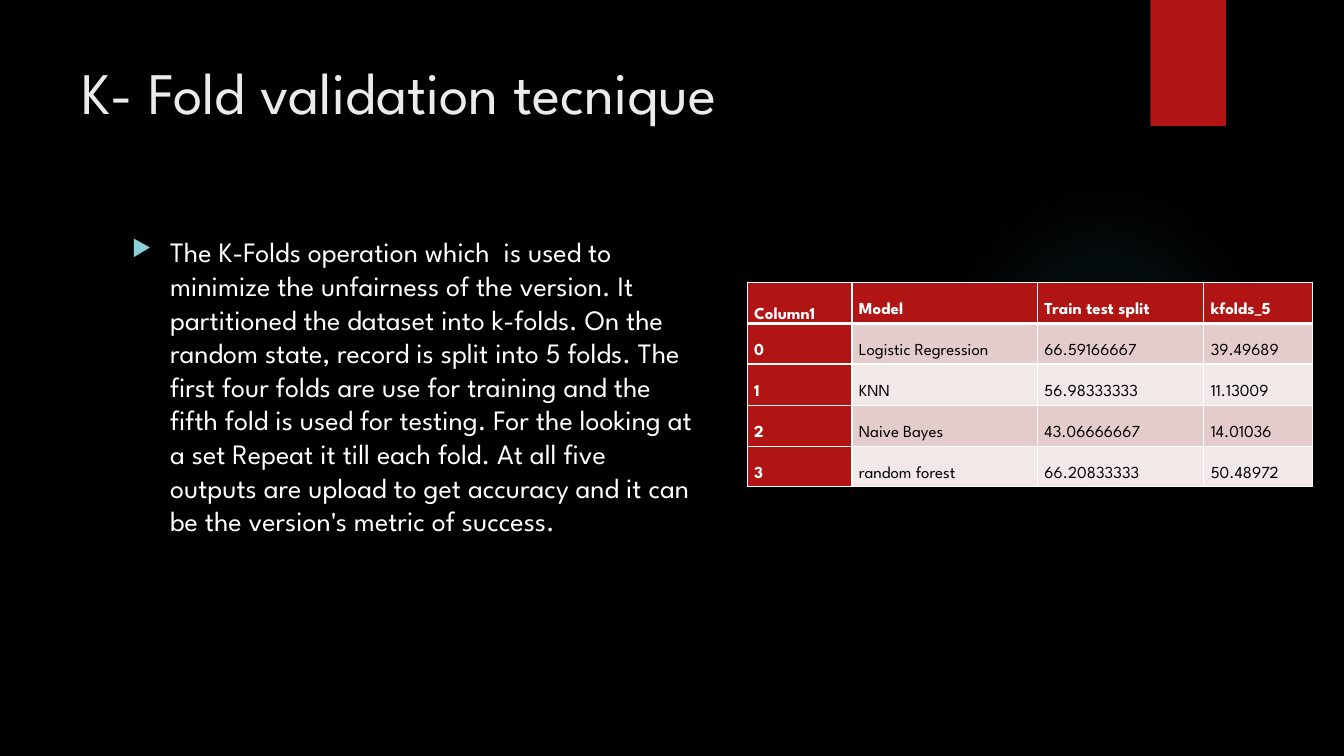
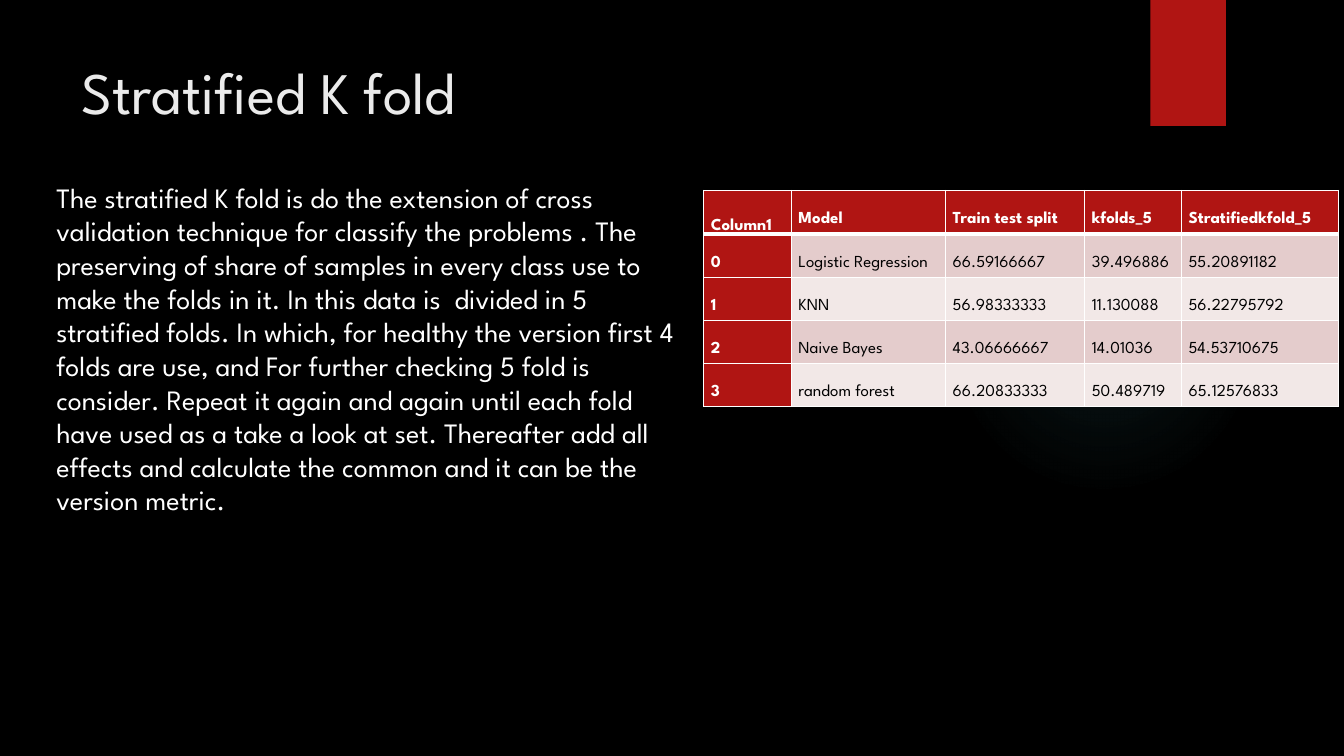
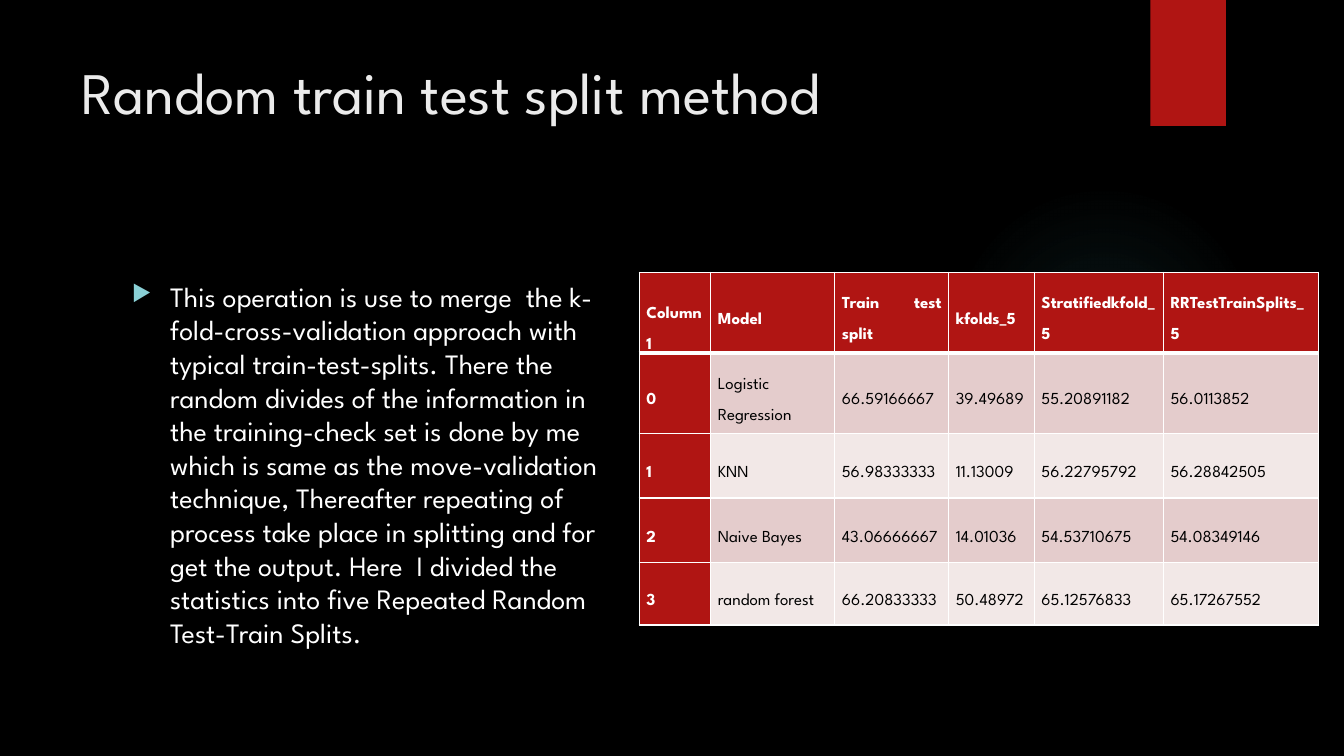
from pptx import Presentation
from pptx.dml.color import RGBColor
from pptx.enum import shapes, text
from pptx.oxml import parse_xml
from pptx.oxml.ns import nsdecls
from pptx.util import Inches, Pt

FONT = "League Spartan"
RED, WHITE, BLACK, TITLE = "B01513", "FFFFFF", "000000", "EBEBEB"
GLOW, BULLET = "50B9C1", "8AD0D6"
BANDS = ["E4CCCC", "F2E8E7"]
COLUMN1 = ["Column1", "0", "1", "2", "3"]
MODEL = ["Model", "Logistic Regression", "KNN", "Naive Bayes", "random forest"]
SPLIT = ["Train test split", "66.59166667", "56.98333333", "43.06666667", "66.20833333"]
KFOLDS = ["kfolds_5", "39.49689", "11.13009", "14.01036", "50.48972"]
KFOLDS_LONG = ["kfolds_5", "39.496886", "11.130088", "14.01036", "50.489719"]
STRATIFIED = ["Stratifiedkfold_5", "55.20891182", "56.22795792", "54.53710675", "65.12576833"]
REPEATED = ["RRTestTrainSplits_5", "56.0113852", "56.28842505", "54.08349146", "65.17267552"]

PAGES = [
    dict(
        title="K- Fold validation tecnique",
        body="The K-Folds operation which  is used to minimize the unfairness of the version. "
             "It partitioned the dataset into k-folds. On the random state, record is split into "
             "5 folds. The first four folds are use for training and the fifth fold is used for "
             "testing. For the looking at a set Repeat it till each fold. At all five outputs are "
             "upload to get accuracy and it can be the version's metric of success.",
        body_at=(1.21, 1.81, 5.8, 5.02), bullet=True,
        table_at=(7.41, 2.8, 5.6, 2.03),
        columns=[COLUMN1, MODEL, SPLIT, KFOLDS],
        widths=[1.04, 1.84, 1.65, 1.08], heights=[0.41, 0.35, 0.41, 0.41, 0.4],
    ),
    dict(
        title="Stratified K fold",
        body="The stratified K fold is do the extension of cross validation technique for "
             "classify the problems . The preserving of share of samples in every class use to "
             "make the folds in it. In this data is  divided in 5 stratified folds. In which, for "
             "healthy the version first 4 folds are use, and For further checking 5 fold is "
             "consider. Repeat it again and again until each fold have used as a take a look at "
             "set. Thereafter add all effects and calculate the common and it can be the version "
             "metric. ",
        body_at=(0.46, 1.74, 6.52, 4.47), bullet=False,
        table_at=(6.98, 1.89, 6.29, 2.88),
        columns=[COLUMN1, MODEL, SPLIT, KFOLDS_LONG, STRATIFIED],
        widths=[0.87, 1.53, 1.38, 0.96, 1.56], heights=[0.43, 0.43, 0.43, 0.43, 0.42],
    ),
    dict(
        title="Random train test split method",
        body="This operation is use to merge  the k-fold-cross-validation approach with typical "
             "train-test-splits. There the random divides of the information in the "
             "training-check set is done by me which is same as the move-validation technique, "
             "Thereafter repeating of process take place in splitting and for get the output. "
             "Here  I divided the statistics into five Repeated Random Test-Train Splits.",
        body_at=(1.21, 2.25, 5.06, 4.59), bullet=True,
        table_at=(6.34, 2.7, 6.73, 3.68),
        columns=[COLUMN1, MODEL, SPLIT, KFOLDS, STRATIFIED, REPEATED],
        widths=[0.71, 1.23, 1.13, 0.85, 1.28, 1.54], heights=[0.64, 0.64, 0.64, 0.64, 0.62],
    ),
]


def color(value):
    """Turn a hex string into a colour."""
    return RGBColor.from_string(value)


def write(frame, words, size=20, ink=WHITE, bold=False, align=text.PP_ALIGN.LEFT):
    """Put one formatted paragraph in a text frame and return it."""
    frame.word_wrap = True
    para = frame.paragraphs[0]
    para.alignment = align
    span = para.add_run()
    span.text = words
    span.font.name, span.font.size, span.font.bold = FONT, Pt(size), bold
    span.font.color.rgb = color(ink)
    return para


deck = Presentation()
deck.slide_width, deck.slide_height = Inches(13.33), Inches(7.5)
backdrop = deck.slide_master.background.fill
backdrop.solid()
backdrop.fore_color.rgb = color(BLACK)

glow_stops = "".join(
    f'<a:gs pos="{place * 1000}"><a:srgbClr val="{GLOW}"><a:alpha val="{alpha * 1000}"/>'
    "</a:srgbClr></a:gs>"
    for place, alpha in [(0, 7), (36, 6), (69, 0), (100, 0)]
)
glow_fill = (
    f'<a:gradFill {nsdecls("a")} rotWithShape="1"><a:gsLst>{glow_stops}</a:gsLst>'
    '<a:path path="circle"><a:fillToRect l="50000" t="50000" r="50000" b="50000"/></a:path>'
    "</a:gradFill>"
)

for content in PAGES:
    page = deck.slides.add_slide(deck.slide_layouts[5])

    # Glow and red tab
    glow = page.shapes.add_shape(
        shapes.MSO_SHAPE.OVAL, Inches(9.41), Inches(1.83), Inches(3.08), Inches(3.08))
    glow.line.fill.background()
    glow.shadow.inherit = False
    glow._element.spPr.insert(2, parse_xml(glow_fill))
    tab = page.shapes.add_shape(
        shapes.MSO_SHAPE.RECTANGLE, Inches(11.41), 0, Inches(0.75), Inches(1.25))
    tab.fill.solid()
    tab.fill.fore_color.rgb = color(RED)
    tab.line.fill.background()
    tab.shadow.inherit = False

    # Title
    title = page.shapes.title
    title.left, title.top = Inches(0.71), Inches(0.5)
    title.width, title.height = Inches(10.29), Inches(1.53)
    title.text_frame.auto_size = text.MSO_AUTO_SIZE.NONE
    title.text_frame.vertical_anchor = text.MSO_ANCHOR.TOP
    write(title.text_frame, content["title"], size=42, ink=TITLE)

    # Body text
    box = page.shapes.add_textbox(*map(Inches, content["body_at"]))
    para = write(box.text_frame, content["body"])
    if content["bullet"]:
        box.text_frame.margin_top = Inches(0.52)
        props = para._p.get_or_add_pPr()
        props.set("marL", str(Inches(0.38)))
        props.set("indent", str(-Inches(0.38)))
        for mark in (f'<a:buClr {nsdecls("a")}><a:srgbClr val="{BULLET}"/></a:buClr>',
                     f'<a:buSzPct {nsdecls("a")} val="80000"/>',
                     f'<a:buChar {nsdecls("a")} char="\u25b6"/>'):
            props.append(parse_xml(mark))

    # Results table
    columns = content["columns"]
    table = page.shapes.add_table(
        len(COLUMN1), len(columns), *map(Inches, content["table_at"])).table
    table.horz_banding = False
    for row, height in zip(table.rows, content["heights"]):
        row.height = Inches(height)
    for column, width in zip(table.columns, content["widths"]):
        column.width = Inches(width)
    for c, values in enumerate(columns):
        for r, value in enumerate(values):
            cell = table.cell(r, c)
            heading = r == 0 or c == 0
            cell.fill.solid()
            cell.fill.fore_color.rgb = color(RED if heading else BANDS[(r - 1) % 2])
            cell.margin_left = cell.margin_right = Inches(0.07)
            cell.margin_top = cell.margin_bottom = 0
            corner = r == 0 and c == 0
            cell.vertical_anchor = text.MSO_ANCHOR.BOTTOM if corner else text.MSO_ANCHOR.MIDDLE
            para = write(cell.text_frame, value, size=12, ink=WHITE if heading else BLACK,
                         bold=heading, align=text.PP_ALIGN.JUSTIFY)
            para.line_spacing = 2.0
            for i, side in enumerate("LRTB"):
                thick = (r, side) in [(0, "B"), (1, "T")]
                cell._tc.get_or_add_tcPr().insert(i, parse_xml(
                    f'<a:ln{side} {nsdecls("a")} w="{Pt(3 if thick else 1)}"><a:solidFill>'
                    f'<a:srgbClr val="{WHITE}"/></a:solidFill></a:ln{side}>'))

deck.save("out.pptx")
